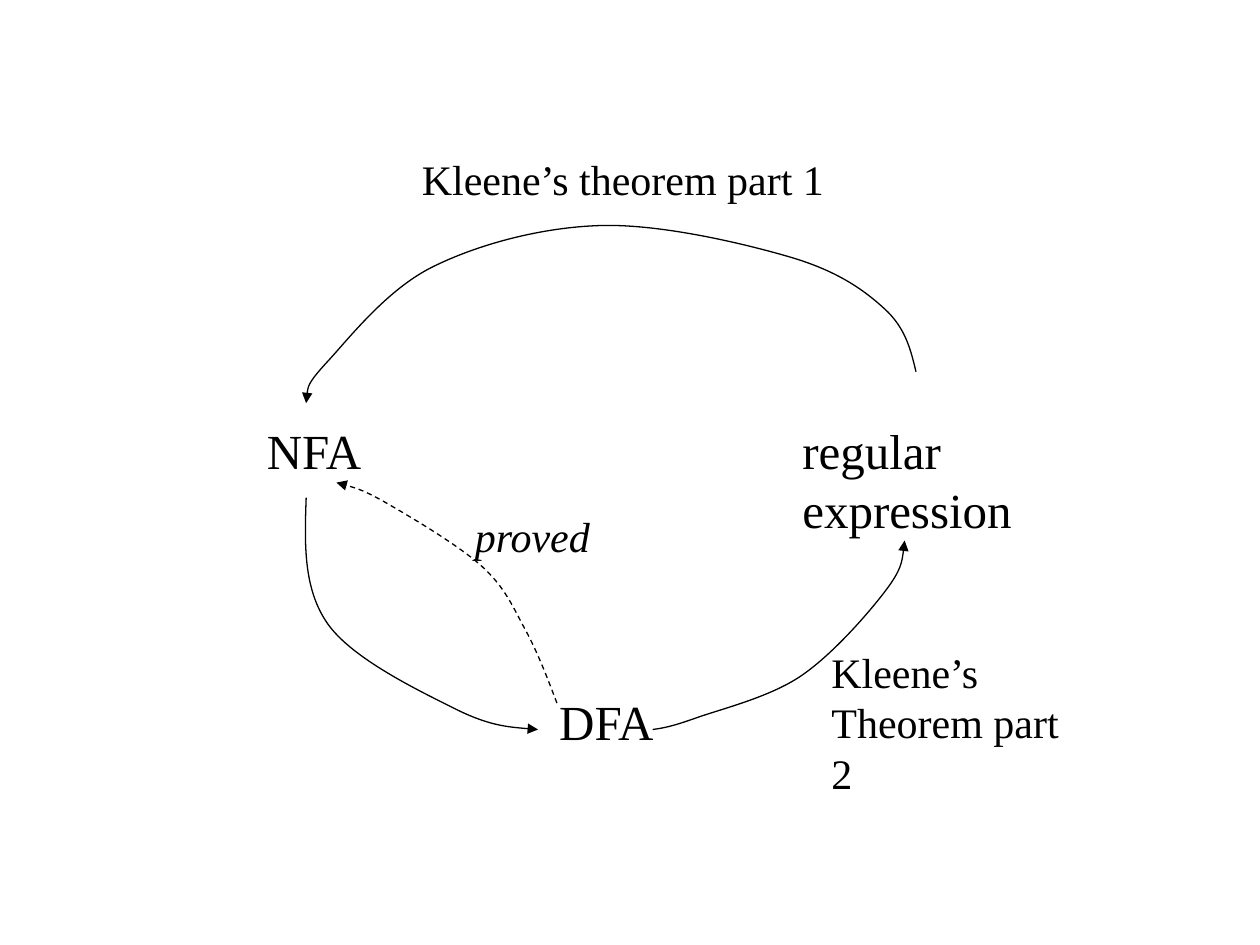
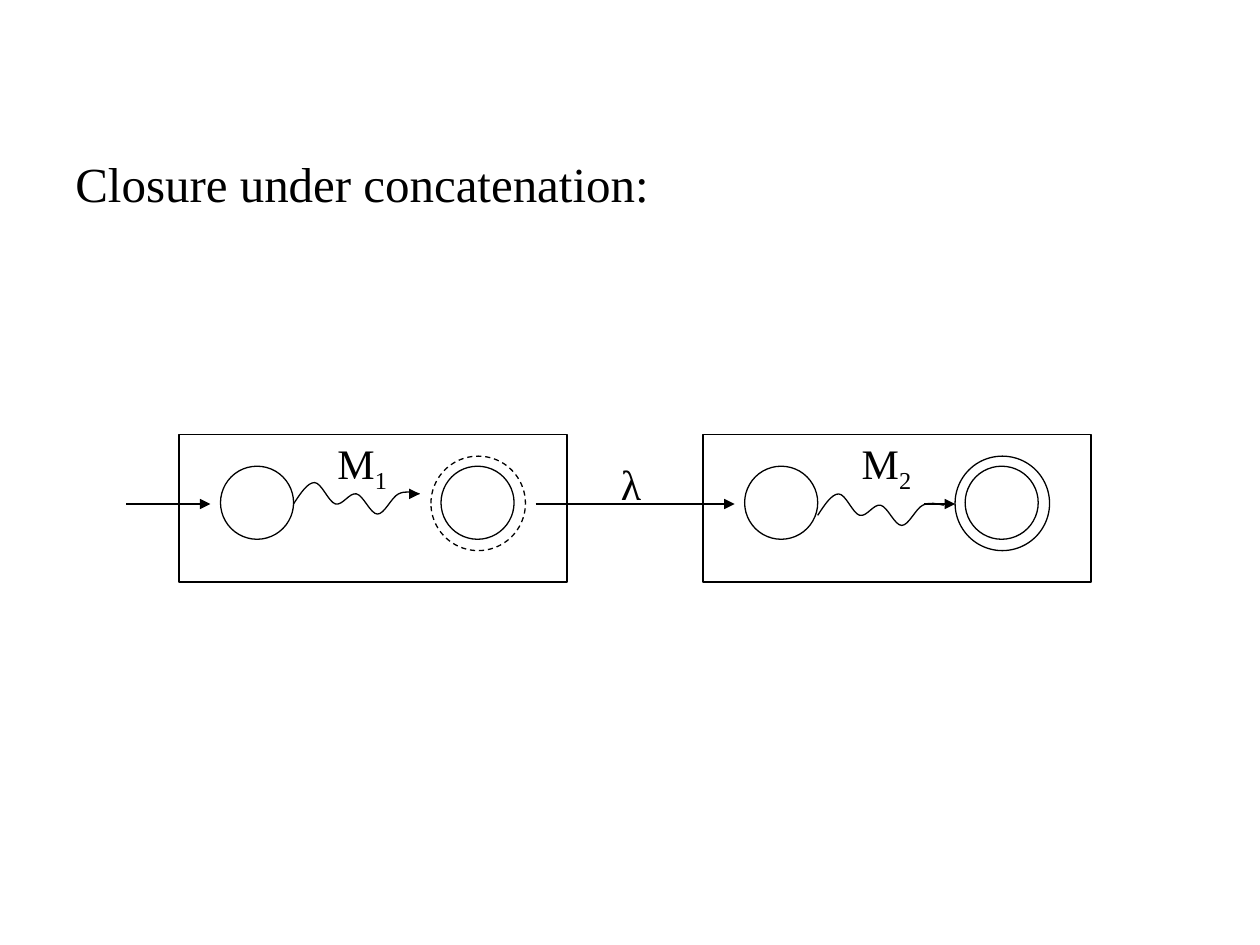
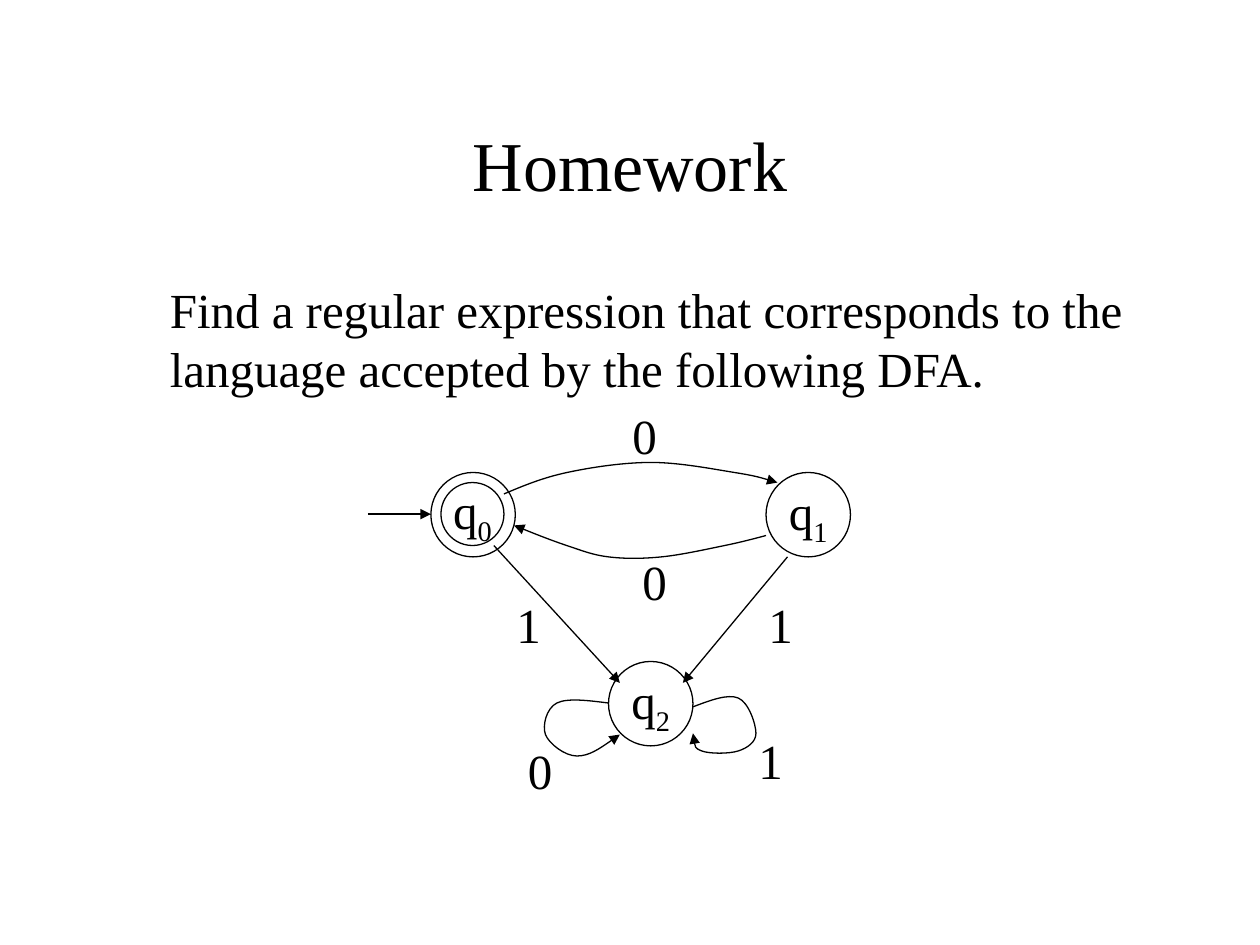
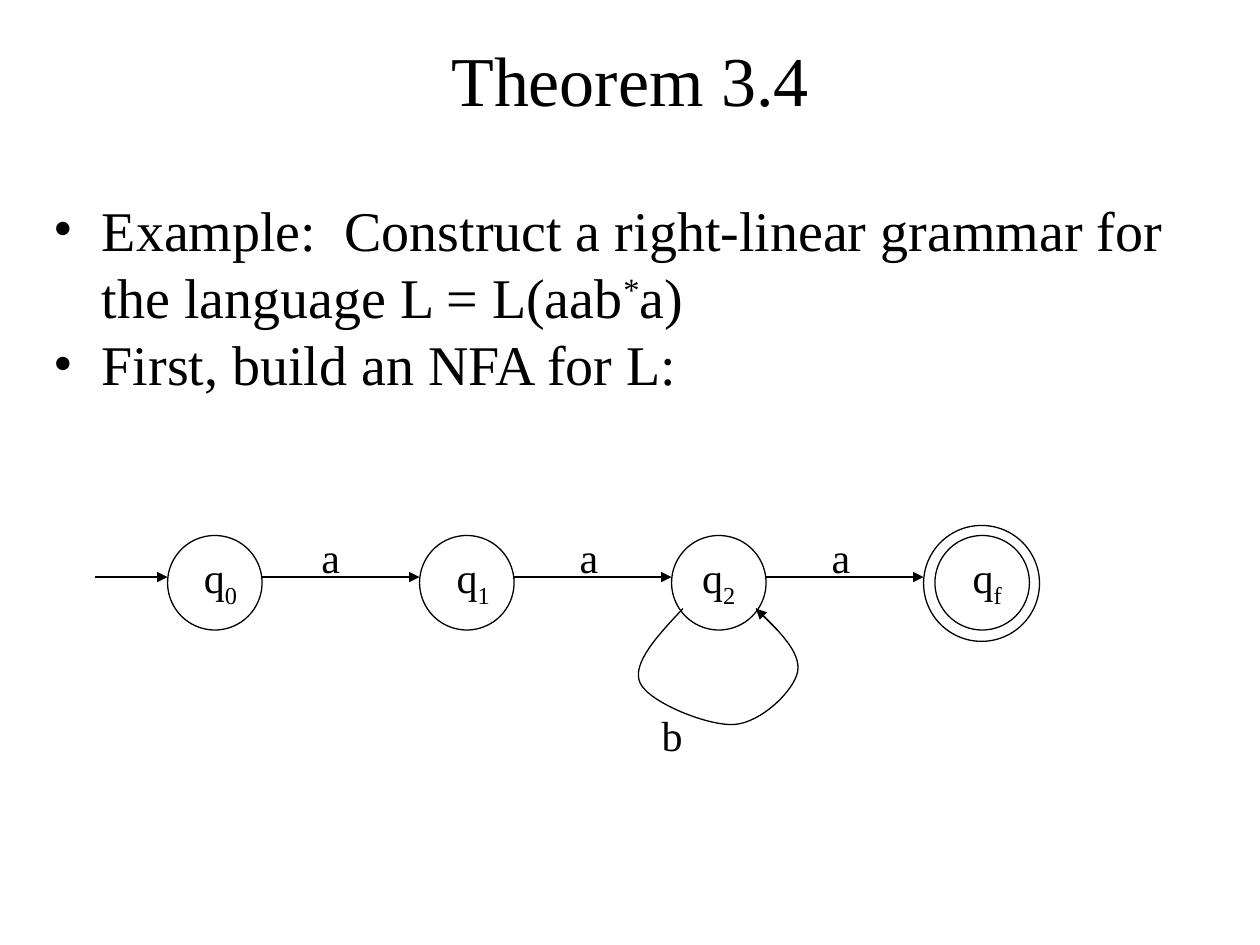
from dataclasses import dataclass

from lxml.etree import SubElement
from pptx import Presentation
from pptx.dml.color import RGBColor
from pptx.enum.dml import MSO_LINE
from pptx.enum.shapes import MSO_CONNECTOR, MSO_SHAPE
from pptx.enum.text import MSO_ANCHOR, MSO_AUTO_SIZE, PP_ALIGN
from pptx.oxml.ns import qn
from pptx.util import Inches, Pt


@dataclass(frozen=True)
class Theme:
    font: str = "Times New Roman"
    ink: RGBColor = RGBColor(0, 0, 0)
    title_size: int = 40
    bullet_size: int = 32
    body_size: int = 28
    label_size: int = 24
    line_width: float = 0.75


def plain(text):
    return [(text, 0)]


def sub(base, index):
    return [(base, 0), (index, -25)]


def spline_points(knots):
    """Return Bezier control and end points of a smooth curve through knots."""
    def shifted(point, before, after, sign):
        return tuple(p + sign * (a - b) / 6 for p, b, a in zip(point, before, after))

    def midpoint(first, second):
        return tuple((f + s) / 2 for f, s in zip(first, second))

    points = []
    last = len(knots) - 1
    for i in range(last):
        start, end = knots[i], knots[i + 1]
        leaving = shifted(start, knots[i - 1], end, 1) if i else None
        arriving = shifted(end, start, knots[i + 2], -1) if i + 1 < last else None
        leaving = leaving or midpoint(start, arriving)
        arriving = arriving or midpoint(leaving, end)
        points += [leaving, arriving, end]
    return points


class Deck:
    def __init__(self, theme):
        self.theme = theme
        self.presentation = Presentation()
        self.presentation.slide_width = Inches(10)
        self.presentation.slide_height = Inches(7.5)
        self.slide = None

    def new_slide(self, title=None, title_top=0):
        layout_name = "Title Only" if title else "Blank"
        layout = self.presentation.slide_layouts.get_by_name(layout_name)
        self.slide = self.presentation.slides.add_slide(layout)
        if title:
            heading = self.slide.shapes.title
            heading.left, heading.top = Inches(0.75), Inches(title_top)
            heading.width, heading.height = Inches(8.5), Inches(1.25)
            frame = heading.text_frame
            frame.auto_size = MSO_AUTO_SIZE.NONE
            frame.vertical_anchor = MSO_ANCHOR.MIDDLE
            self.fill_frame(frame, [plain(title)], self.theme.title_size, PP_ALIGN.CENTER)

    def fill_frame(self, frame, paragraphs, size, align=PP_ALIGN.LEFT,
                   italic=False, bullets=False):
        for i, pieces in enumerate(paragraphs):
            paragraph = frame.add_paragraph() if i else frame.paragraphs[0]
            paragraph.alignment = align
            if bullets:
                self.add_bullet(paragraph)
            for text, baseline in pieces:
                run = paragraph.add_run()
                run.text = text
                run.font.name = self.theme.font
                run.font.size = Pt(size)
                run.font.italic = italic
                run.font.color.rgb = self.theme.ink
                if baseline:
                    run._r.get_or_add_rPr().set("baseline", str(baseline * 1000))

    def add_bullet(self, paragraph):
        properties = paragraph._p.get_or_add_pPr()
        properties.set("marL", str(Inches(0.38)))
        properties.set("indent", str(-Inches(0.38)))
        SubElement(properties, qn("a:buFont")).set("typeface", self.theme.font)
        SubElement(properties, qn("a:buChar")).set("char", "•")

    def text(self, left, top, width, height, paragraphs, size,
             align=PP_ALIGN.LEFT, wrap=False, italic=False, bullets=False):
        box = self.slide.shapes.add_textbox(
            Inches(left), Inches(top), Inches(width), Inches(height))
        frame = box.text_frame
        frame.word_wrap = wrap
        frame.auto_size = MSO_AUTO_SIZE.NONE if bullets else MSO_AUTO_SIZE.SHAPE_TO_FIT_TEXT
        self.fill_frame(frame, paragraphs, size, align, italic, bullets)

    def outline(self, item, dashed=False, arrow=False):
        line = item.line
        line.color.rgb = self.theme.ink
        line.width = Pt(self.theme.line_width)
        if dashed:
            line.dash_style = MSO_LINE.DASH
        if arrow:
            stroke = item._element.spPr.find(qn("a:ln"))
            SubElement(stroke, qn("a:tailEnd")).set("type", "triangle")

    def shape(self, kind, left, top, width, height, label=None, dashed=False):
        shape = self.slide.shapes.add_shape(
            kind, Inches(left), Inches(top), Inches(width), Inches(height))
        shape.shadow.inherit = False
        shape.fill.background()
        self.outline(shape, dashed)
        if label:
            frame = shape.text_frame
            frame.word_wrap = False
            frame.vertical_anchor = MSO_ANCHOR.MIDDLE
            self.fill_frame(frame, [label], self.theme.body_size, PP_ALIGN.CENTER)

    def circle(self, left, top, diameter, label=None, dashed=False):
        self.shape(MSO_SHAPE.OVAL, left, top, diameter, diameter, label, dashed)

    def arrow(self, start, end):
        connector = self.slide.shapes.add_connector(
            MSO_CONNECTOR.STRAIGHT, *(Inches(value) for value in (*start, *end)))
        self.outline(connector, arrow=True)
        SubElement(connector._element.spPr, qn("a:effectLst"))

    def curve(self, knots, dashed=False, arrow=True):
        start, *rest = [(Inches(x), Inches(y)) for x, y in [knots[0], *spline_points(knots)]]
        builder = self.slide.shapes.build_freeform(*start)
        builder.add_line_segments(rest, close=False)
        curve = builder.convert_to_shape()
        outline = next(curve._element.iter(qn("a:path")))
        segments = outline.findall(qn("a:lnTo"))
        for i in range(0, len(segments), 3):
            bezier = SubElement(outline, qn("a:cubicBezTo"))
            for segment in segments[i:i + 3]:
                bezier.append(segment[0])
                outline.remove(segment)
        curve.shadow.inherit = False
        curve.fill.background()
        self.outline(curve, dashed, arrow)


def kleene_cycle(deck):
    theme = deck.theme
    deck.new_slide()
    deck.text(2.02, 3.29, 0.97, 0.57, [plain("NFA")], theme.body_size)
    deck.text(4.34, 5.44, 0.97, 0.57, [plain("DFA")], theme.body_size)
    deck.text(6.27, 3.29, 1.86, 1.04, [plain("regular"), plain("expression")], theme.body_size)

    expression_to_nfa = [(7.27, 2.95), (7.02, 2.45), (6.27, 2.04), (4.77, 1.79),
                         (3.43, 2.12), (2.6, 2.87), (2.43, 3.2)]
    nfa_to_dfa = [(2.43, 3.95), (2.6, 4.95), (3.6, 5.62), (4.27, 5.79)]
    dfa_to_expression = [(5.18, 5.79), (5.52, 5.7), (6.35, 5.37), (7.02, 4.7), (7.18, 4.29)]
    for route in (expression_to_nfa, nfa_to_dfa, dfa_to_expression):
        deck.curve(route)

    deck.text(3.25, 1.17, 3.41, 0.5, [plain("Kleene’s theorem part 1")], theme.label_size)
    deck.text(6.5, 5.08, 2.25, 0.9, [plain("Kleene’s"), plain("Theorem part 2")],
              theme.label_size)
    deck.curve([(4.42, 5.58), (4.17, 5), (3.83, 4.5), (3.08, 4), (2.67, 3.83)], dashed=True)
    deck.text(3.67, 4, 1.12, 0.5, [plain("proved")], theme.label_size, italic=True)


def machine(deck, left, index, wave_top, final_dashed=False):
    """Draw a boxed automaton: start state, wavy path and final state."""
    deck.circle(left + 2.08, 3.7, 0.58)
    deck.circle(left + 0.33, 3.7, 0.58)
    deck.shape(MSO_SHAPE.RECTANGLE, left, 3.45, 3.08, 1.17)
    deck.circle(left + 2, 3.62, 0.75, dashed=final_dashed)
    deck.text(left + 1.16, 3.42, 0.59, 0.56, [sub("M", index)], deck.theme.label_size)
    wave_heights = [0.17, 0, 0.17, 0.09, 0.25, 0.09, 0.09]
    deck.curve([(left + 0.91 + i / 6, wave_top + height)
                for i, height in enumerate(wave_heights)], arrow=False)


def concatenation(deck):
    theme = deck.theme
    deck.new_slide()
    deck.text(0.5, 1.17, 4.75, 0.57, [plain("Closure under concatenation:")], theme.body_size)
    machine(deck, 1.42, "1", 3.83, final_dashed=True)
    machine(deck, 5.58, "2", 3.92)
    deck.text(4.83, 3.59, 0.36, 0.5, [plain("λ")], theme.label_size)
    for start, end, height in [(4.25, 5.83, 4), (1, 1.67, 4), (3.25, 3.33, 3.92), (7.33, 7.58, 4)]:
        deck.arrow((start, height), (end, height))


def homework(deck):
    theme = deck.theme
    deck.new_slide("Homework", title_top=0.67)
    deck.text(1.25, 2.17, 7.76, 1.04,
              [plain("Find a regular expression that corresponds to the"),
               plain("language accepted by the following DFA.")], theme.body_size)

    deck.circle(3.42, 3.75, 0.67)
    deck.circle(3.5, 3.83, 0.5, sub("q", "0"))
    deck.circle(6.08, 3.75, 0.67, sub("q", "1"))
    deck.circle(4.83, 5.25, 0.67, sub("q", "2"))

    deck.arrow((2.92, 4.08), (3.42, 4.08))
    deck.arrow((3.92, 4.33), (4.92, 5.42))
    deck.arrow((6.25, 4.42), (5.42, 5.42))

    q0_to_q1 = [(4, 3.92), (4.5, 3.75), (5.17, 3.67), (5.83, 3.75), (6.17, 3.83)]
    q1_to_q0 = [(6.08, 4.25), (5.75, 4.33), (5.25, 4.42), (4.83, 4.42), (4.5, 4.33), (4.08, 4.17)]
    left_loop = [(4.83, 5.58), (4.42, 5.58), (4.33, 5.83), (4.58, 6), (4.92, 5.83)]
    right_loop = [(5.5, 5.61), (5.86, 5.54), (6, 5.82), (5.86, 5.96), (5.57, 5.96), (5.5, 5.82)]
    for transition in (q0_to_q1, q1_to_q0, left_loop, right_loop):
        deck.curve(transition)

    for symbol, left, top in [("0", 4.92, 3.17), ("0", 5, 4.33), ("1", 4, 4.67),
                              ("1", 6, 4.67), ("0", 4.09, 5.83), ("1", 5.92, 5.75)]:
        deck.text(left, top, 0.39, 0.57, [plain(symbol)], theme.body_size)


def theorem(deck):
    theme = deck.theme
    deck.new_slide("Theorem 3.4")
    example = [("Example:  Construct a right-linear grammar for the language L = L(aab", 0),
               ("*", 30), ("a)", 0)]
    deck.text(0.33, 1.5, 9.42, 5.67, [example, plain("First, build an NFA for L:")],
              theme.bullet_size, wrap=True, bullets=True)

    for left in (1.33, 3.33, 5.33, 7.42):
        deck.circle(left, 4.25, 0.75)
    deck.circle(7.33, 4.17, 0.92)
    for start, end in [(0.75, 1.33), (2.08, 3.33), (4.08, 5.33), (6.08, 7.33)]:
        deck.arrow((start, 4.58), (end, 4.58))

    deck.curve([(5.42, 4.83), (5.08, 5.42), (5.83, 5.75), (6.33, 5.33), (6, 4.83)], arrow=False)
    deck.arrow((6.17, 5), (6, 4.83))

    state_labels = [(sub("q", index), left, 4.33, width, 0.56) for index, left, width in
                    [("0", 1.25, 1), ("1", 3.17, 1.17), ("2", 5.08, 1.25), ("f", 7.25, 1.17)]]
    symbol_labels = [(plain(symbol), left, top, width, 0.5) for symbol, left, top, width in
                     [("a", 2, 4.17, 1.25), ("a", 4.5, 4.17, 0.35),
                      ("a", 6.5, 4.17, 0.35), ("b", 4.75, 5.58, 1.17)]]
    for label, left, top, width, height in state_labels + symbol_labels:
        deck.text(left, top, width, height, [label], theme.label_size,
                  PP_ALIGN.CENTER, wrap=width >= 1)


def main():
    deck = Deck(Theme())
    for build in (kleene_cycle, concatenation, homework, theorem):
        build(deck)
    deck.presentation.save("out.pptx")


if __name__ == "__main__":
    main()
